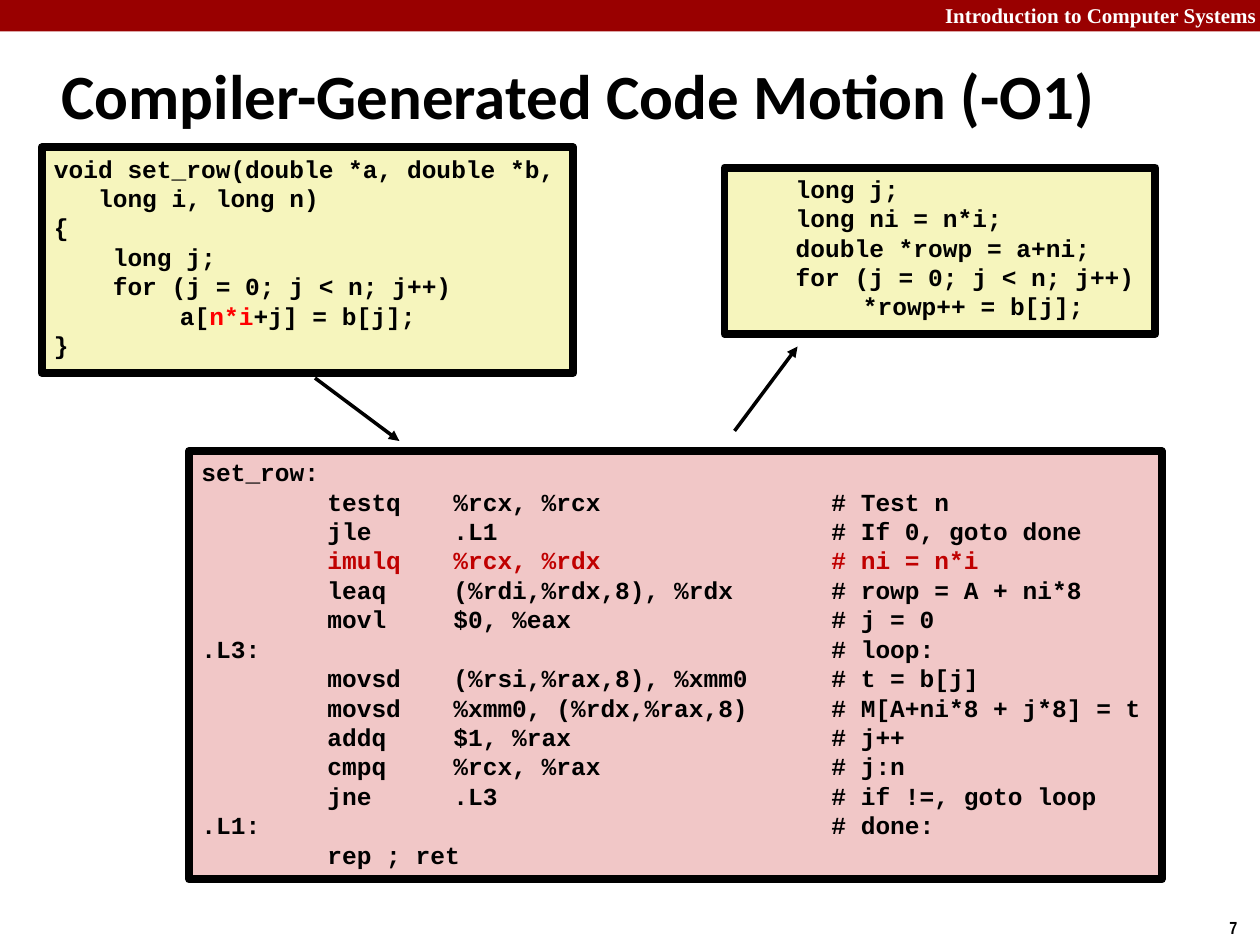
"""Build the slide on compiler-generated code motion."""
from lxml.etree import SubElement
from pptx import Presentation
from pptx.dml.color import RGBColor
from pptx.enum.shapes import MSO_CONNECTOR as Link, MSO_SHAPE as Shape
from pptx.enum.text import MSO_ANCHOR as Anchor, PP_ALIGN as Align
from pptx.oxml.ns import qn
from pptx.util import Inches, Pt

BLACK = RGBColor(0, 0, 0)
WHITE = RGBColor(255, 255, 255)
MAROON = RGBColor(0x99, 0, 0)
CREAM = RGBColor(0xF6, 0xF5, 0xBD)
PINK = RGBColor(0xF1, 0xC7, 0xC7)
RED = RGBColor(255, 0, 0)
DARK = RGBColor(0xC0, 0, 0)

SOURCE = [
    "void set_row(double *a, double *b,",
    "   long i, long n)",
    "{",
    "    long j;",
    "    for (j = 0; j < n; j++)",
    "\ta[n*i+j] = b[j];",
    "}",
]
MOVED = [
    "    long j;",
    "    long ni = n*i;",
    "    double *rowp = a+ni;",
    "    for (j = 0; j < n; j++)",
    "\t*rowp++ = b[j];",
]
ROWS = [
    ("set_row:",),
    ("", "testq", "%rcx, %rcx", "# Test n"),
    ("", "jle", ".L1", "# If 0, goto done"),
    ("", "imulq", "%rcx, %rdx", "# ni = n*i"),
    ("", "leaq", "(%rdi,%rdx,8), %rdx", "# rowp = A + ni*8"),
    ("", "movl", "$0, %eax", "# j = 0"),
    (".L3:", "", "", "# loop:"),
    ("", "movsd", "(%rsi,%rax,8), %xmm0", "# t = b[j]"),
    ("", "movsd", "%xmm0, (%rdx,%rax,8)", "# M[A+ni*8 + j*8] = t"),
    ("", "addq", "$1, %rax", "# j++"),
    ("", "cmpq", "%rcx, %rax", "# j:n"),
    ("", "jne", ".L3", "# if !=, goto loop"),
    (".L1:", "", "", "# done:"),
    ("", "rep ; ret"),
]
ASM = ["\t".join(row) for row in ROWS]

BOXES = [
    (ASM, (1.5, 3.58, 7.72, 3.4), PINK, "\t".join(ROWS[3][1:]), DARK, (1, 2, 5)),
    (MOVED, (5.75, 1.33, 3.42, 1.32), CREAM, None, None, (1,)),
    (SOURCE, (0.33, 1.17, 4.22, 1.79), CREAM, "n*i", RED, (1,)),
]
ARROWS = [(2.5, 3, 3.17, 3.5), (5.83, 3.42, 6.33, 2.75)]
LABELS = [
    ("Introduction to Computer Systems", (6, -0.03, 4.07, 0.3),
     "Times New Roman", 12, WHITE, Align.RIGHT, True),
    ("7", (9.66, 7.23, 0.34, 0.27), "Arial Narrow", 10, BLACK, Align.LEFT, False),
    ("Compiler-Generated Code Motion (-O1)", (0.39, 0.33, 8.83, 0.83),
     "Calibri", 36, BLACK, Align.LEFT, True),
]


def style(para, face, size, color):
    font = para.font
    font.name, font.size, font.bold = face, Pt(size), True
    font.color.rgb = color


def add_rect(slide, place, fill):
    rect = slide.shapes.add_shape(Shape.RECTANGLE, *map(Inches, place))
    rect.shadow.inherit = False
    rect.fill.solid()
    rect.fill.fore_color.rgb = fill
    rect.line.fill.background()
    return rect


def add_label(slide, text, place, face, size, color, align, wrap):
    frame = slide.shapes.add_textbox(*map(Inches, place)).text_frame
    frame.word_wrap = wrap
    frame.vertical_anchor = Anchor.MIDDLE
    para = frame.paragraphs[0]
    para.text, para.alignment = text, align
    style(para, face, size, color)


def add_code(slide, lines, place, fill, hot, tint, stops):
    rect = add_rect(slide, place, fill)
    rect.line.color.rgb = BLACK
    rect.line.width = Pt(4.5)
    frame = rect.text_frame
    frame.word_wrap = True
    frame.vertical_anchor = Anchor.TOP
    for num, line in enumerate(lines):
        para = frame.add_paragraph() if num else frame.paragraphs[0]
        para.alignment = Align.LEFT
        tabs = SubElement(para._p.get_or_add_pPr(), qn("a:tabLst"))
        for stop in stops:
            SubElement(tabs, qn("a:tab"), pos=str(Inches(stop)), algn="l")
        style(para, "Courier New", 14, BLACK)
        for part in line.partition(hot) if hot else [line]:
            if part:
                run = para.add_run()
                run.text = part
                if part == hot:
                    run.font.color.rgb = tint


def add_arrow(slide, ends):
    arrow = slide.shapes.add_connector(Link.STRAIGHT, *map(Inches, ends))
    arrow.line.color.rgb = BLACK
    arrow.line.width = Pt(2)
    SubElement(arrow.line._get_or_add_ln(), qn("a:tailEnd"), type="triangle")
    SubElement(arrow._element.spPr, qn("a:effectLst"))


def main():
    deck = Presentation()
    deck.slide_width, deck.slide_height = Inches(10), Inches(7.5)
    slide = deck.slides.add_slide(deck.slide_layouts[6])
    add_rect(slide, (0, 0, 10, 0.25), MAROON)
    for label in LABELS:
        add_label(slide, *label)
    for box in BOXES:
        add_code(slide, *box)
    for ends in ARROWS:
        add_arrow(slide, ends)
    deck.save("out.pptx")


if __name__ == "__main__":
    main()
